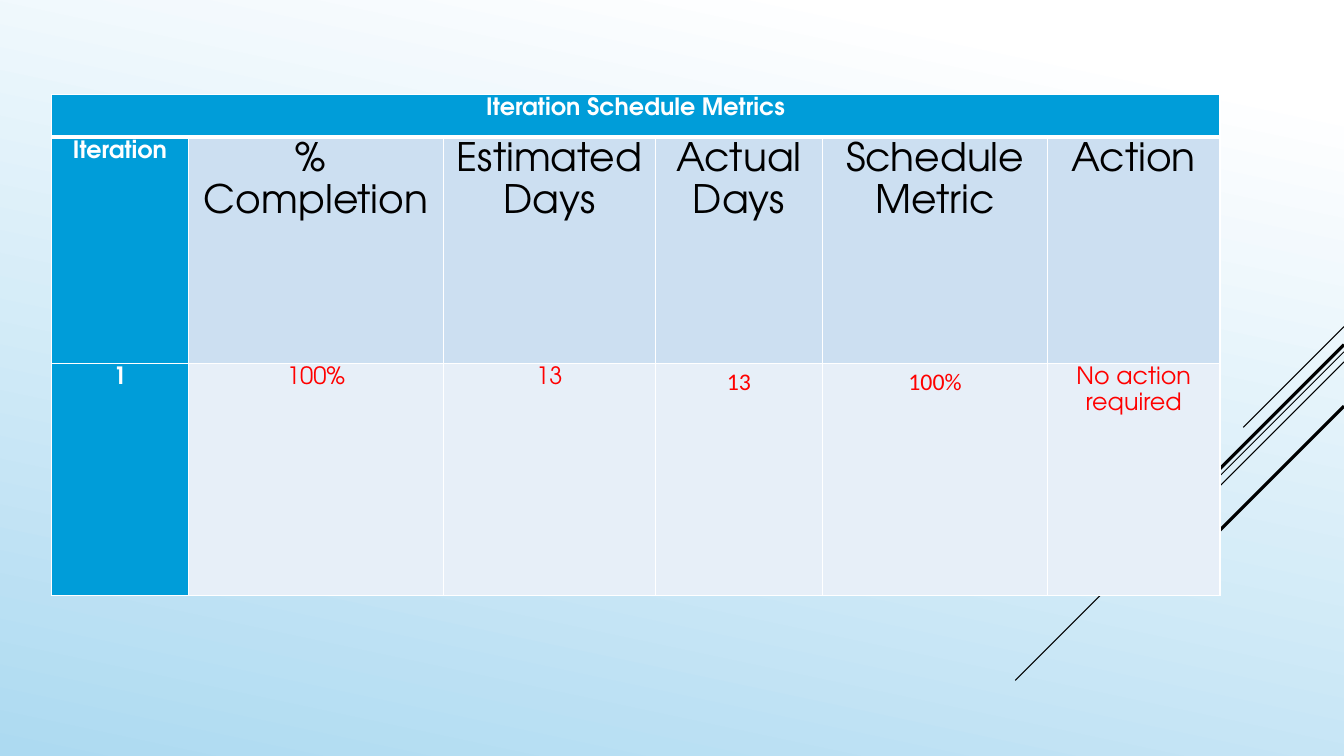
import pptx
import pptx.util
import pptx.dml.color
import pptx.enum.shapes
import pptx.enum.text
import pptx.oxml.ns
from lxml import etree

Inches, Pt = pptx.util.Inches, pptx.util.Pt
COLORS = {
    "white": "FFFFFF", "sky": "ADDAF1", "black": "000000", "red": "FF0000",
    "blue": "009DD9", "head": "CCDFF1", "body": "E7EFF8",
}
FONT = "TeX Gyre Adventor"


def rgb(name):
    return pptx.dml.color.RGBColor.from_string(COLORS[name])


def border(cell, side, width):
    """Add one white edge; side is L, R, T or B."""
    qn = pptx.oxml.ns.qn
    props = cell._tc.get_or_add_tcPr()
    edge = etree.SubElement(props, qn("a:ln" + side), w=str(Pt(width)))
    fill = etree.SubElement(edge, qn("a:solidFill"))
    etree.SubElement(fill, qn("a:srgbClr"), val=COLORS["white"])


deck = pptx.Presentation()
deck.slide_width, deck.slide_height = Inches(13.33), Inches(7.5)
slide = deck.slides.add_slide(deck.slide_layouts[6])

back = slide.background.fill
back.gradient()
back.gradient_angle = 258
for stop, place, name in zip(back.gradient_stops, (0.1, 1), ("white", "sky")):
    stop.position = place
    stop.color.rgb = rgb(name)

# Diagonal lines from the right edge: top, length across, weight
for top, run, weight in [(3.24, 1, 0.75), (3.49, 3.26, 0.75), (3.59, 2.07, 0.75),
                         (3.42, 1.91, 2.25), (4.03, 1.39, 2.25)]:
    line = slide.shapes.add_connector(
        pptx.enum.shapes.MSO_CONNECTOR.STRAIGHT,
        Inches(13.33), Inches(top), Inches(13.33 - run), Inches(top + run))
    line.line.color.rgb = rgb("black")
    line.line.width = Pt(weight)
    etree.SubElement(line._element.spPr, pptx.oxml.ns.qn("a:effectLst"))

widths = [1.36, 2.53, 2.1, 1.66, 2.23, 1.71]
heights = [0.42, 2.25, 2.3]
rows = [
    ["Iteration Schedule Metrics", "", "", "", "", ""],
    ["Iteration", "% \nCompletion", "Estimated Days", "Actual Days",
     "Schedule Metric", "Action"],
    ["1", "100%", "13", "13", "100%", "No action required"],
]
# Fill, text colour and size of each row's plain cells
looks = [("blue", "white", 17), ("head", "black", 28), ("body", "red", 17)]

table = slide.shapes.add_table(
    3, 6, Inches(0.51), Inches(0.94), Inches(11.58), Inches(4.97)).table
table.first_row = table.horz_banding = False
for col, width in zip(table.columns, widths):
    col.width = Inches(width)
for row, height in zip(table.rows, heights):
    row.height = Inches(height)
table.cell(0, 0).merge(table.cell(0, 5))

for r, texts in enumerate(rows):
    for c, text in enumerate(texts):
        cell = table.cell(r, c)
        label = r == 0 or c == 0
        fill, color, size = looks[0] if label else looks[r]
        for side in "LRTB":
            thick = (r, side) in [(0, "B"), (1, "T")]
            border(cell, side, 3 if thick else 1)
        cell.fill.solid()
        cell.fill.fore_color.rgb = rgb(fill)
        cell.margin_left = cell.margin_right = Inches(0.11)
        cell.margin_top = cell.margin_bottom = 0
        if not text:
            continue
        cell.text_frame.text = text
        for para in cell.text_frame.paragraphs:
            para.alignment = pptx.enum.text.PP_ALIGN.CENTER
            para.line_spacing = 1.15
            font = para.runs[0].font
            font.name = "Calibri" if r == 2 and c in (3, 4) else FONT
            font.size = Pt(size)
            font.bold = label
            font.color.rgb = rgb(color)

deck.save("out.pptx")
